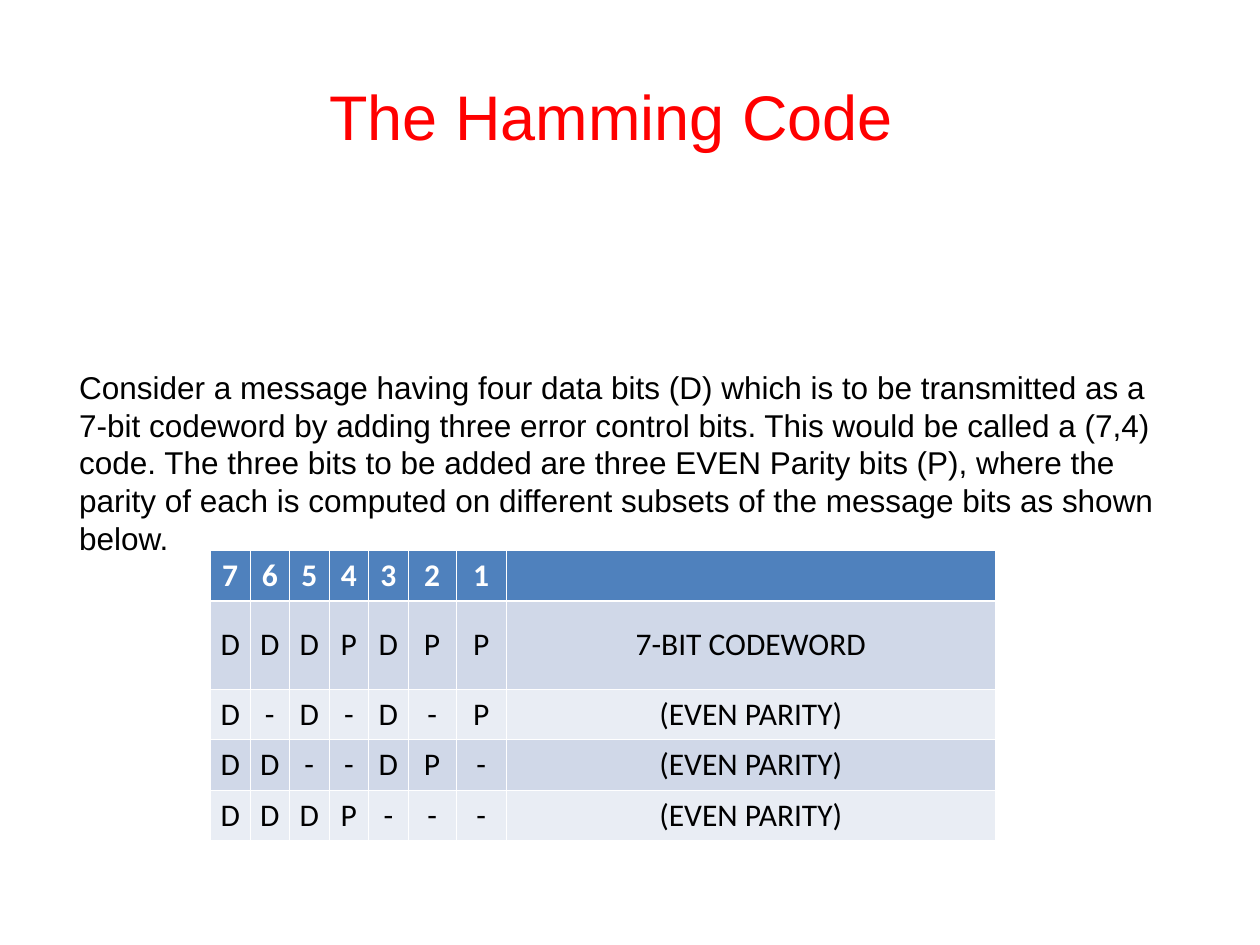
from lxml import etree
from pptx import Presentation
from pptx import util as u
from pptx.dml.color import RGBColor
from pptx.enum import text
from pptx.oxml import ns

HEADS = ["7", "6", "5", "4", "3", "2", "1", ""]
PARITY = "(EVEN PARITY)"
ROWS = [
    HEADS,
    ["D ", "D ", "D ", "P", "D ", "P", "P", "7-BIT CODEWORD"],
    [*"D-D-D-P", PARITY],
    [*"DD--DP-", PARITY],
    [*"DDDP---", PARITY],
]
WIDTHS = [1.57 / 5] * 5 + [0.38, 0.4, 3.88]
HEIGHTS = [0.4, 0.7, 0.4, 0.4, 0.4]
INTRO = (
    "Consider a message having four data bits (D) which is to be transmitted "
    "as a 7-bit codeword by adding three error control bits. This would be "
    "called a (7,4) code. The three bits to be added are three EVEN Parity "
    "bits (P), where the parity of each is computed on different subsets of "
    "the message bits as shown below."
)


def color(code):
    return RGBColor.from_string(code)


def write(frame, words, font="Arial", size=18, ink="000000", bold=False,
          align=text.PP_ALIGN.LEFT):
    para = frame.paragraphs[0]
    para.alignment = align
    run = para.add_run()
    run.text = words
    run.font.name = font
    run.font.size = u.Pt(size)
    run.font.bold = bold
    run.font.color.rgb = color(ink)


def edge(cell, side, width, ink="FFFFFF"):
    """Draw one border of a cell; side is L, R, T or B."""
    props = cell._tc.get_or_add_tcPr()
    line = etree.SubElement(props, ns.qn("a:ln" + side), w=str(u.Pt(width)))
    fill = etree.SubElement(line, ns.qn("a:solidFill"))
    etree.SubElement(fill, ns.qn("a:srgbClr"), val=ink)


class Deck:
    """Holds the table style and the current slide."""
    head, bands = "4F81BD", ("E9EDF4", "D0D8E8")
    thin, thick = 0.45, 1.47

    def __init__(self):
        self.show = Presentation()
        self.show.slide_width = u.Inches(10)
        self.show.slide_height = u.Inches(7.5)
        self.slide = self.show.slides.add_slide(self.show.slide_layouts[5])

    def title(self, words, *box):
        shape = self.slide.shapes.title
        shape.left, shape.top, shape.width, shape.height = map(u.Inches, box)
        shape.text_frame.vertical_anchor = text.MSO_ANCHOR.MIDDLE
        write(shape.text_frame, words, size=36, ink="FF0000",
              align=text.PP_ALIGN.CENTER)

    def note(self, words, *box):
        shape = self.slide.shapes.add_textbox(*map(u.Inches, box))
        shape.text_frame.word_wrap = True
        write(shape.text_frame, words)

    def table(self, rows, widths, heights, left, top):
        box = map(u.Inches, (left, top, sum(widths), sum(heights)))
        grid = self.slide.shapes.add_table(len(rows), len(widths), *box).table
        for col, width in zip(grid.columns, widths):
            col.width = u.Inches(width)
        for r, (row, height) in enumerate(zip(rows, heights)):
            grid.rows[r].height = u.Inches(height)
            for c, words in enumerate(row):
                self.cell(grid.cell(r, c), r, words)

    def cell(self, cell, row, words):
        cell.vertical_anchor = text.MSO_ANCHOR.MIDDLE
        cell.margin_left = cell.margin_right = u.Inches(0.07)
        cell.margin_top = cell.margin_bottom = u.Inches(0.04)
        edge(cell, "L", self.thin)
        edge(cell, "R", self.thin)
        edge(cell, "T", self.thick if row == 1 else self.thin)
        edge(cell, "B", self.thick if row == 0 else self.thin)
        cell.fill.solid()
        cell.fill.fore_color.rgb = color(
            self.bands[row % 2] if row else self.head)
        if words:
            write(cell.text_frame, words, font="Calibri", bold=row == 0,
                  ink="000000" if row else "FFFFFF",
                  align=text.PP_ALIGN.CENTER)


def main():
    deck = Deck()
    deck.title("The Hamming Code ", 0.42, 0.33, 9, 1.17)
    deck.note(INTRO, 0.53, 2.87, 8.87, 1.9)
    deck.table(ROWS, WIDTHS, HEIGHTS, 1.67, 4.37)
    deck.show.save("out.pptx")


if __name__ == "__main__":
    main()
